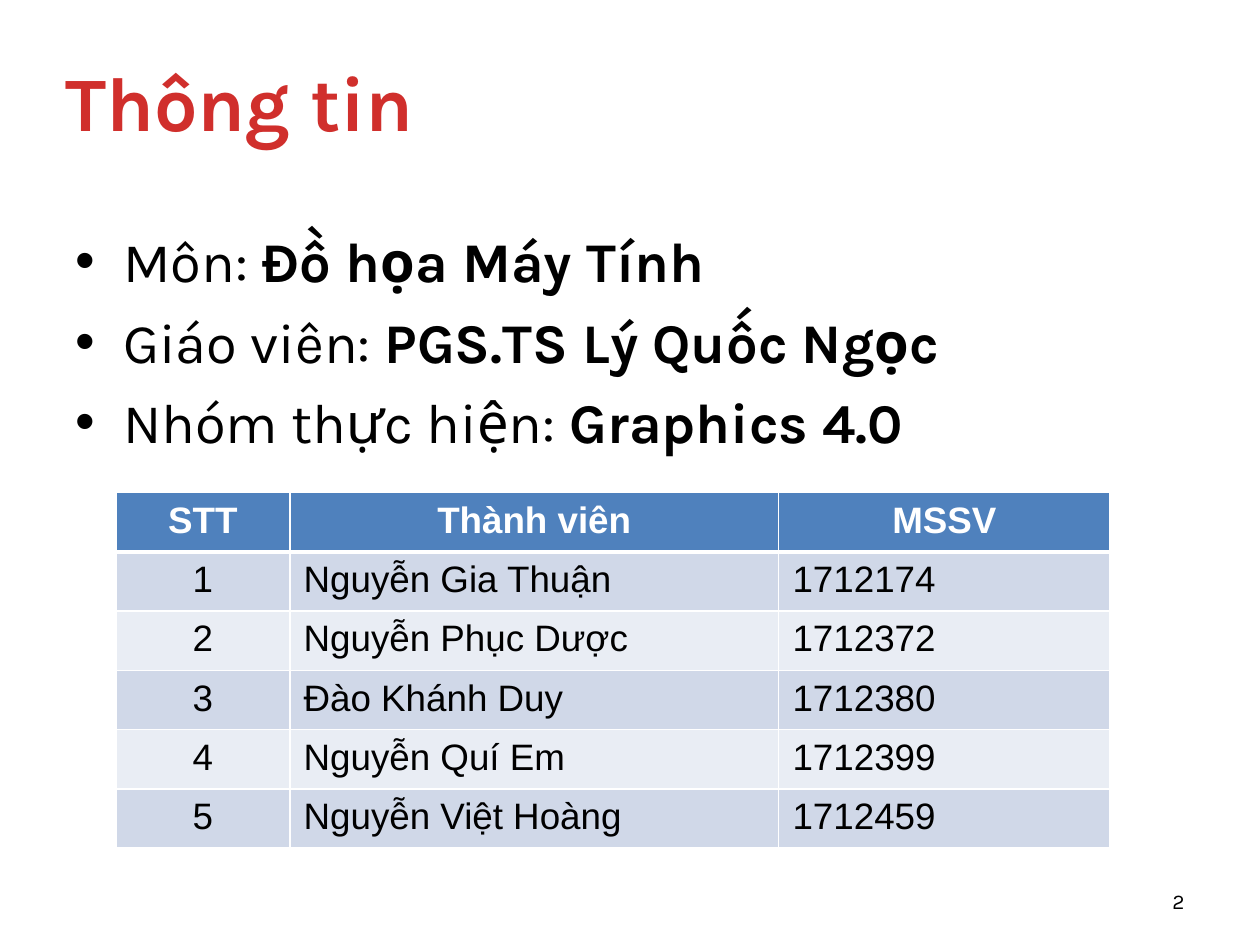
from typing import NamedTuple

from lxml.etree import SubElement
from pptx import Presentation
from pptx.dml.color import RGBColor
from pptx.enum.text import MSO_ANCHOR, PP_ALIGN
from pptx.oxml.ns import qn
from pptx.util import Inches, Pt

RED = RGBColor(0xD0, 0x2F, 0x2C)
BLACK = RGBColor(0x00, 0x00, 0x00)
WHITE = RGBColor(0xFF, 0xFF, 0xFF)
HEADER_BLUE = RGBColor(0x4F, 0x81, 0xBD)
BANDS = (RGBColor(0xD0, 0xD8, 0xE8), RGBColor(0xE9, 0xED, 0xF4))

HEADING_FONT = "Karla"
TABLE_FONT = "Arial"


class Fact(NamedTuple):
    label: str
    value: str


class Member(NamedTuple):
    name: str
    student_id: str


FACTS = (
    Fact("Môn: ", "Đồ họa Máy Tính"),
    Fact("Giáo viên: ", "PGS.TS Lý Quốc Ngọc"),
    Fact("Nhóm thực hiện: ", "Graphics 4.0"),
)
TABLE_HEADER = ("STT", "Thành viên", "MSSV")
MEMBERS = (
    Member("Nguyễn Gia Thuận", "1712174"),
    Member("Nguyễn Phục Dược", "1712372"),
    Member("Đào Khánh Duy", "1712380"),
    Member("Nguyễn Quí Em", "1712399"),
    Member("Nguyễn Việt Hoàng", "1712459"),
)
COLUMN_WIDTHS = (1.38, 3.88, 2.63)
TABLE_HEIGHT = 2.79


def style_font(paragraph, face: str, size: float, color: RGBColor, bold: bool = False) -> None:
    font = paragraph.font
    font.name, font.size, font.bold = face, Pt(size), bold
    font.color.rgb = color


def add_text_frame(slide, left: float, top: float, width: float, height: float,
                   anchor: MSO_ANCHOR):
    box = slide.shapes.add_textbox(Inches(left), Inches(top), Inches(width), Inches(height))
    frame = box.text_frame
    frame.word_wrap = True
    frame.vertical_anchor = anchor
    return frame


def add_bullet(paragraph) -> None:
    """Give the paragraph a hanging bullet; call before setting its font."""
    properties = paragraph._p.get_or_add_pPr()
    properties.set("marL", str(Inches(0.38)))
    properties.set("indent", str(Inches(-0.38)))
    SubElement(properties, qn("a:buFont"), typeface="Arial")
    SubElement(properties, qn("a:buChar"), char="•")


def add_facts(slide) -> None:
    frame = add_text_frame(slide, 0.5, 1.75, 9, 4.95, MSO_ANCHOR.TOP)
    for index, fact in enumerate(FACTS):
        paragraph = frame.paragraphs[0] if index == 0 else frame.add_paragraph()
        paragraph.space_before = Pt(7.5)
        add_bullet(paragraph)
        style_font(paragraph, HEADING_FONT, 32, BLACK)
        paragraph.add_run().text = fact.label
        value = paragraph.add_run()
        value.text = fact.value
        value.font.bold = True


def add_borders(cell, bottom: float) -> None:
    """Draw white cell borders; call before filling the cell."""
    properties = cell._tc.get_or_add_tcPr()
    for side, width in (("L", 1), ("R", 1), ("T", 1), ("B", bottom)):
        line = SubElement(properties, qn(f"a:ln{side}"), w=str(Pt(width)))
        fill = SubElement(line, qn("a:solidFill"))
        SubElement(fill, qn("a:srgbClr"), val=str(WHITE))


def fill_cell(cell, text: str, is_header: bool, centered: bool, fill: RGBColor) -> None:
    cell.margin_left = cell.margin_right = Inches(0.11)
    cell.margin_top = cell.margin_bottom = Inches(0.06)
    add_borders(cell, bottom=3 if is_header else 1)
    cell.fill.solid()
    cell.fill.fore_color.rgb = fill
    paragraph = cell.text_frame.paragraphs[0]
    paragraph.text = text
    paragraph.alignment = PP_ALIGN.CENTER if centered else PP_ALIGN.LEFT
    style_font(paragraph, TABLE_FONT, 21, WHITE if is_header else BLACK, is_header)


def add_member_table(slide) -> None:
    rows = [TABLE_HEADER]
    rows += [(str(number), *member) for number, member in enumerate(MEMBERS, 1)]
    table = slide.shapes.add_table(
        len(rows), len(COLUMN_WIDTHS), Inches(0.92), Inches(3.91),
        Inches(sum(COLUMN_WIDTHS)), Inches(TABLE_HEIGHT)).table
    for column, width in zip(table.columns, COLUMN_WIDTHS):
        column.width = Inches(width)
    for row_index, row in enumerate(rows):
        is_header = row_index == 0
        fill = HEADER_BLUE if is_header else BANDS[(row_index - 1) % 2]
        for column_index, text in enumerate(row):
            centered = is_header or column_index == 0
            fill_cell(table.cell(row_index, column_index), text, is_header, centered, fill)


def main() -> None:
    presentation = Presentation()
    presentation.slide_width, presentation.slide_height = Inches(10), Inches(7.5)
    slide = presentation.slides.add_slide(presentation.slide_layouts[6])

    title = add_text_frame(slide, 0.42, 0.17, 9.42, 1.25, MSO_ANCHOR.MIDDLE).paragraphs[0]
    title.text = "Thông tin"
    style_font(title, HEADING_FONT, 44, RED, bold=True)

    add_facts(slide)

    page_number = add_text_frame(slide, 8.92, 6.95, 0.58, 0.4, MSO_ANCHOR.MIDDLE).paragraphs[0]
    page_number.text = "2"
    page_number.alignment = PP_ALIGN.RIGHT
    style_font(page_number, HEADING_FONT, 12, BLACK)

    add_member_table(slide)
    presentation.save("out.pptx")


if __name__ == "__main__":
    main()
